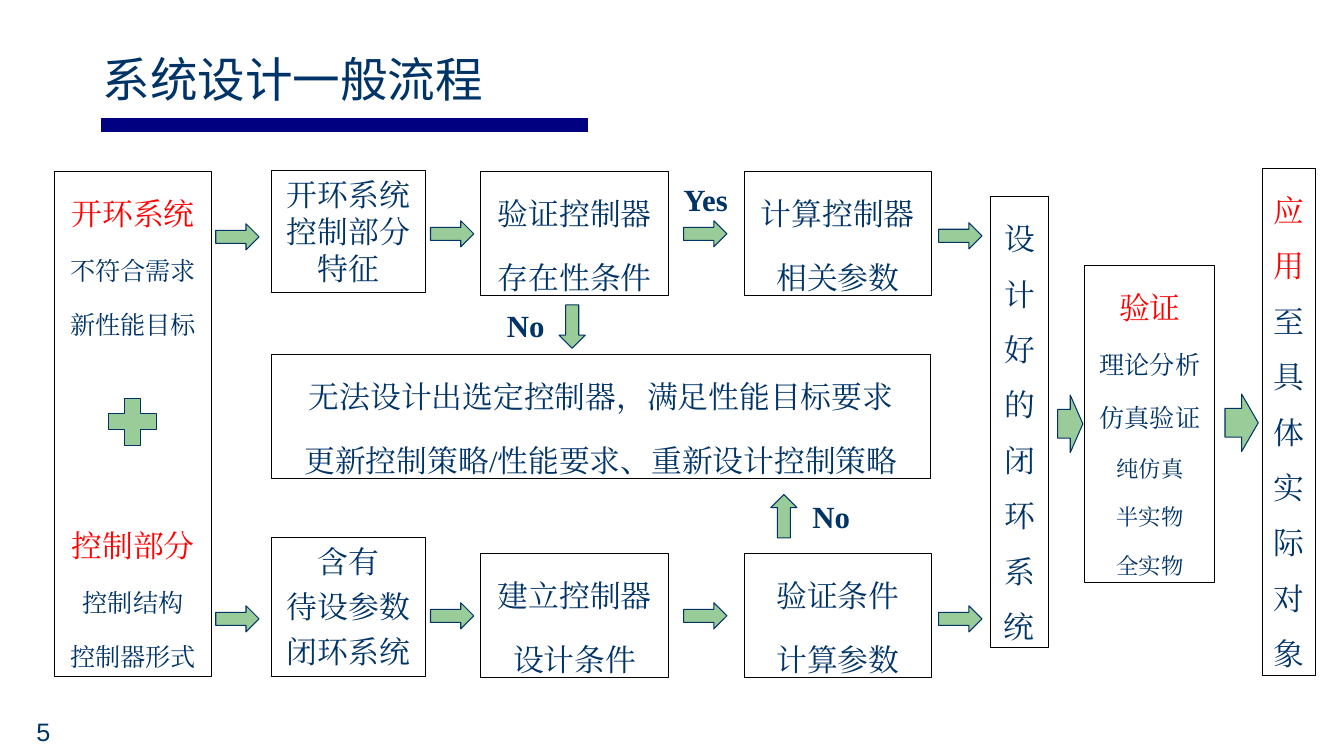
from typing import NamedTuple

from lxml.etree import SubElement
from pptx import Presentation
from pptx.dml.color import RGBColor
from pptx.enum.shapes import MSO_CONNECTOR, MSO_SHAPE
from pptx.enum.text import MSO_ANCHOR, PP_ALIGN
from pptx.oxml.ns import qn
from pptx.util import Inches, Pt

NAVY = RGBColor(0x00, 0x33, 0x66)
RULE_BLUE = RGBColor(0x00, 0x00, 0x80)
RED = RGBColor(0xFF, 0x00, 0x00)
GREEN = RGBColor(0x99, 0xCC, 0x99)
BLACK = RGBColor(0x00, 0x00, 0x00)
SERIF = "Times New Roman"
SANS = "Noto Sans CJK SC"


class Span(NamedTuple):
    text: str
    size: float = 22
    color: RGBColor = NAVY
    font: str = SERIF
    bold: bool = False


class Para(NamedTuple):
    spans: list[Span]
    before: float = 6


class Box(NamedTuple):
    left: float
    top: float
    width: float
    height: float
    paras: list[Para]
    spacing: float = 1.5


class Label(NamedTuple):
    left: float
    top: float
    width: float
    height: float
    span: Span
    align: PP_ALIGN = PP_ALIGN.LEFT
    anchor: MSO_ANCHOR = MSO_ANCHOR.TOP


class Symbol(NamedTuple):
    left: float
    top: float
    width: float = 0.43
    height: float = 0.26
    rotation: float = 0
    kind: MSO_SHAPE = MSO_SHAPE.RIGHT_ARROW


def lines(*texts: str, size: float = 22) -> list[Para]:
    return [Para([Span(text, size)]) for text in texts]


def heading(text: str, before: float = 6) -> Para:
    return Para([Span(text, color=RED)], before)


def add_span(para, span: Span) -> None:
    run = para.add_run()
    run.text = span.text
    run.font.size = Pt(span.size)
    run.font.bold = span.bold
    run.font.color.rgb = span.color
    run.font.name = span.font
    east_asian = SubElement(run.font._element, qn("a:ea"))
    east_asian.set("typeface", span.font)


def add_box(page, box: Box) -> None:
    shape = page.shapes.add_shape(
        MSO_SHAPE.RECTANGLE, Inches(box.left), Inches(box.top),
        Inches(box.width), Inches(box.height))
    shape.shadow.inherit = False
    shape.fill.background()
    shape.line.color.rgb = BLACK
    shape.line.width = Pt(0.75)
    frame = shape.text_frame
    frame.word_wrap = True
    frame.vertical_anchor = MSO_ANCHOR.TOP
    for index, content in enumerate(box.paras):
        para = frame.add_paragraph() if index else frame.paragraphs[0]
        para.alignment = PP_ALIGN.CENTER
        para.line_spacing = box.spacing
        para.space_before = Pt(content.before)
        for span in content.spans:
            add_span(para, span)


def add_label(page, label: Label) -> None:
    shape = page.shapes.add_textbox(
        Inches(label.left), Inches(label.top),
        Inches(label.width), Inches(label.height))
    frame = shape.text_frame
    frame.word_wrap = True
    frame.vertical_anchor = label.anchor
    para = frame.paragraphs[0]
    para.alignment = label.align
    add_span(para, label.span)


def add_symbol(page, symbol: Symbol) -> None:
    shape = page.shapes.add_shape(
        symbol.kind, Inches(symbol.left), Inches(symbol.top),
        Inches(symbol.width), Inches(symbol.height))
    shape.shadow.inherit = False
    shape.rotation = symbol.rotation
    shape.fill.solid()
    shape.fill.fore_color.rgb = GREEN
    shape.line.color.rgb = NAVY
    shape.line.width = Pt(0.75)
    if symbol.kind == MSO_SHAPE.CROSS:
        shape.adjustments[0] = 0.33


def add_title_rule(page) -> None:
    rule = page.shapes.add_connector(
        MSO_CONNECTOR.STRAIGHT, Inches(1), Inches(1.24), Inches(5.83), Inches(1.24))
    rule.line.color.rgb = RULE_BLUE
    rule.line.width = Pt(10)
    SubElement(rule._element.spPr, qn("a:effectLst"))


BOXES = [
    Box(0.54, 1.7, 1.56, 5.01, [
        heading("开环系统"), *lines("不符合需求", "新性能目标", size=18),
        heading("控制部分", 121), *lines("控制结构", "控制器形式", size=18)]),
    Box(2.69, 1.69, 1.53, 1.21, lines("开环系统控制部分特征"), 1),
    Box(2.69, 5.33, 1.53, 1.38, lines("含有", "待设参数", "闭环系统"), 1),
    Box(2.69, 3.52, 6.54, 1.23, lines(
        "无法设计出选定控制器，满足性能目标要求",
        "更新控制策略/性能要求、重新设计控制策略")),
    Box(4.77, 1.7, 1.86, 1.23, lines("验证控制器", "存在性条件")),
    Box(4.77, 5.49, 1.86, 1.23, lines("建立控制器", "设计条件")),
    Box(7.38, 1.7, 1.86, 1.23, lines("计算控制器", "相关参数")),
    Box(7.38, 5.49, 1.86, 1.23, lines("验证条件", "计算参数")),
    Box(9.82, 1.95, 0.58, 4.47, lines("设计好的闭环系统")),
    Box(10.76, 2.63, 1.29, 3.15, [
        heading("验证"), *lines("理论分析", "仿真验证", size=18),
        *lines("纯仿真", "半实物", "全实物", size=16)]),
    Box(12.52, 1.67, 0.53, 5.03, [
        Para([Span("应用", color=RED), Span("至具体实际对象")])]),
]

LABELS = [
    Label(0.92, 0.44, 8.95, 0.67, Span("系统设计一般流程", 34, font=SANS),
          anchor=MSO_ANCHOR.MIDDLE),
    Label(0.09, 7.06, 0.68, 0.4, Span("5", 18, font="Arial"),
          PP_ALIGN.CENTER, MSO_ANCHOR.BOTTOM),
    Label(6.68, 1.74, 0.87, 0.47, Span("Yes", bold=True)),
    Label(4.93, 2.99, 0.87, 0.47, Span("No", bold=True)),
    Label(7.96, 4.89, 0.7, 0.47, Span("No", bold=True)),
]

SYMBOLS = [
    *[Symbol(left, top) for left, upper, lower in [
        (2.14, 2.22, 6.01), (4.27, 2.19, 5.98),
        (6.78, 2.19, 5.98), (9.31, 2.21, 6.01)] for top in (upper, lower)],
    Symbol(5.46, 3.11, rotation=90),
    Symbol(7.56, 4.99, rotation=270),
    Symbol(10.49, 3.92, 0.25, 0.57),
    Symbol(12.15, 3.91, 0.33, 0.57),
    Symbol(1.08, 3.95, 0.47, 0.47, kind=MSO_SHAPE.CROSS),
]


def main() -> None:
    deck = Presentation()
    deck.slide_width = Inches(13.33)
    deck.slide_height = Inches(7.5)
    page = deck.slides.add_slide(deck.slide_layouts[6])
    add_title_rule(page)
    for box in BOXES:
        add_box(page, box)
    for label in LABELS:
        add_label(page, label)
    for symbol in SYMBOLS:
        add_symbol(page, symbol)
    deck.save("out.pptx")


if __name__ == "__main__":
    main()
